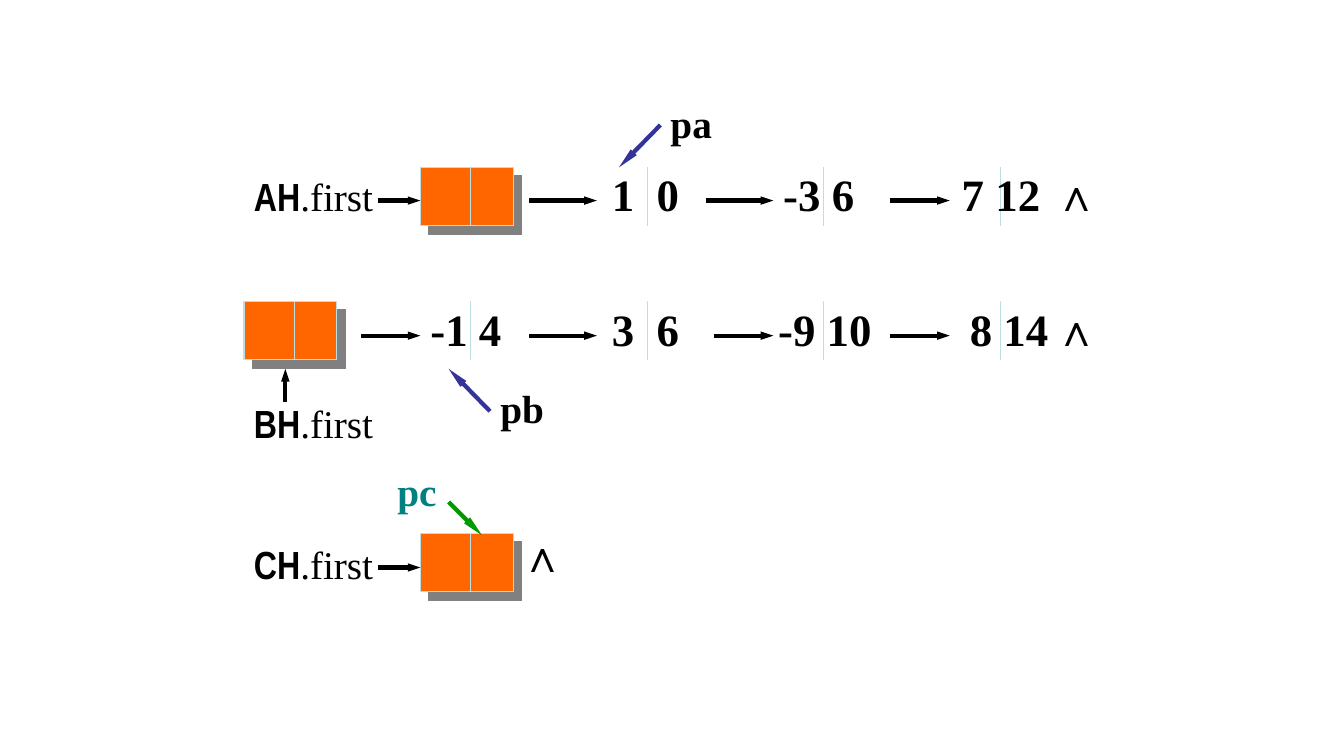
from lxml import etree
from pptx import Presentation
from pptx.dml.color import RGBColor
from pptx.enum import shapes, text
from pptx.oxml import ns
from pptx.util import Inches, Pt

BLACK = RGBColor(0x00, 0x00, 0x00)
ORANGE = RGBColor(0xFF, 0x66, 0x00)
PALE = RGBColor(0xBB, 0xE0, 0xE3)
BLUE = RGBColor(0x33, 0x33, 0x99)
GREEN = RGBColor(0x00, 0x99, 0x00)
TEAL = RGBColor(0x00, 0x80, 0x80)
SERIF, NARROW = "Times New Roman", "Arial Narrow"

# Each list: top of its row, height of its arrows, head cell, dividers,
# arrows (from x, to x), and values (left, width, text)
LISTS = [
    dict(top=1.66, arrow_y=1.99, head=4.17, columns=(1, 2, 3, 4), text_top=1.61,
         arrows=[(3.75, 4.17), (5.25, 5.92), (7, 7.67), (8.83, 9.42)],
         values=[(5.97, 0.87, "1  0"), (7.67, 0.94, "-3 6"),
                 (9.44, 0.98, "7 12"), (10.36, 0.47, "∧")]),
    dict(top=2.99, arrow_y=3.33, head=2.42, columns=(0, 1, 2, 3, 4), text_top=2.94,
         arrows=[(3.58, 4.17), (5.25, 5.92), (7.08, 7.67), (8.83, 9.42)],
         values=[(4.17, 0.94, "-1 4"), (5.97, 0.87, "3  6"), (7.62, 1.13, "-9 10"),
                 (9.52, 0.98, "8 14"), (10.36, 0.47, "∧")]),
    dict(top=5.29, arrow_y=5.63, head=4.17, columns=(1,), text_top=5.19,
         arrows=[(3.75, 4.17)], values=[(5.06, 0.47, "∧")]),
]
# List names: top, bold part
LIST_NAMES = [(1.66, "AH"), (3.91, "BH"), (5.31, "CH")]
# Pointers: left, top, width, name, text colour, arrow start, arrow end, arrow colour
POINTERS = [
    (6.55, 0.93, 0.61, "pa", BLACK, (6.55, 1.24), (6.14, 1.66), BLUE),
    (4.86, 3.76, 0.64, "pb", BLACK, (4.86, 4.08), (4.45, 3.66), BLUE),
    (3.84, 4.58, 0.59, "pc", TEAL, (4.45, 4.98), (4.78, 5.31), GREEN),
]
FIRST_DIVIDER, COLUMN_STEP = 2.92, 1.75
CELL_WIDTH, CELL_HEIGHT = 0.92, 0.58

deck = Presentation()
deck.slide_width, deck.slide_height = Inches(13.33), Inches(7.5)
page = deck.slides.add_slide(deck.slide_layouts[6])


def add_line(start, end, color, width, head_length=None):
    line = page.shapes.add_connector(
        shapes.MSO_CONNECTOR.STRAIGHT, *(Inches(v) for v in (*start, *end)))
    line.line.color.rgb = color
    line.line.width = Pt(width)
    if head_length:
        etree.SubElement(line.line._get_or_add_ln(), ns.qn("a:tailEnd"),
                         type="triangle", w="sm", len=head_length)
    etree.SubElement(line._element.spPr, ns.qn("a:effectLst"))


def add_head_cell(left, top):
    cell = page.shapes.add_shape(
        shapes.MSO_SHAPE.RECTANGLE, Inches(left), Inches(top),
        Inches(CELL_WIDTH), Inches(CELL_HEIGHT))
    cell.fill.solid()
    cell.fill.fore_color.rgb = ORANGE
    cell.line.color.rgb = PALE
    cell.line.width = Pt(0.75)
    cell.shadow.inherit = False
    effects = cell._element.spPr.find(ns.qn("a:effectLst"))
    shadow = etree.SubElement(effects, ns.qn("a:outerShdw"), dist=str(Pt(8.5)),
                              dir="2700000", algn="ctr", rotWithShape="0")
    etree.SubElement(shadow, ns.qn("a:srgbClr"), val="808080")


def add_text(left, top, width, height, size, *spans, color=BLACK, centred=False):
    """Each span is (words, font, bold)."""
    box = page.shapes.add_textbox(*(Inches(v) for v in (left, top, width, height)))
    frame = box.text_frame
    frame.word_wrap = False
    frame.auto_size = text.MSO_AUTO_SIZE.SHAPE_TO_FIT_TEXT
    para = frame.paragraphs[0]
    if centred:
        frame.vertical_anchor = text.MSO_ANCHOR.MIDDLE
        para.alignment = text.PP_ALIGN.CENTER
    para.font.size = Pt(size)
    para.font.color.rgb = color
    for words, font, bold in spans:
        span = para.add_run()
        span.text = words
        # A single span shares its font with the paragraph
        target = para.font if len(spans) == 1 else span.font
        target.name, target.bold = font, bold


# Linked lists
for row in LISTS:
    add_head_cell(row["head"], row["top"])
    for column in row["columns"]:
        x = FIRST_DIVIDER + column * COLUMN_STEP
        add_line((x, row["top"]), (x, row["top"] + CELL_HEIGHT), PALE, 0.75)
    for start, end in row["arrows"]:
        add_line((start, row["arrow_y"]), (end, row["arrow_y"]), BLACK, 3, "med")
    for left, width, words in row["values"]:
        add_text(left, row["text_top"], width, 0.63, 32, (words, SERIF, True))

# List names, with the arrow from BH up to its head cell
for top, name in LIST_NAMES:
    add_text(2.42, top, 1.39, 0.57, 28, (name, NARROW, True), (".first", SERIF, False))
add_line((2.83, 3.99), (2.83, 3.66), BLACK, 3, "med")

# Pointers
for left, top, width, name, color, start, end, arrow_color in POINTERS:
    add_line(start, end, arrow_color, 3, "lg")
    add_text(left, top, width, 0.57, 28, (name, SERIF, True), color=color, centred=True)

deck.save("out.pptx")
